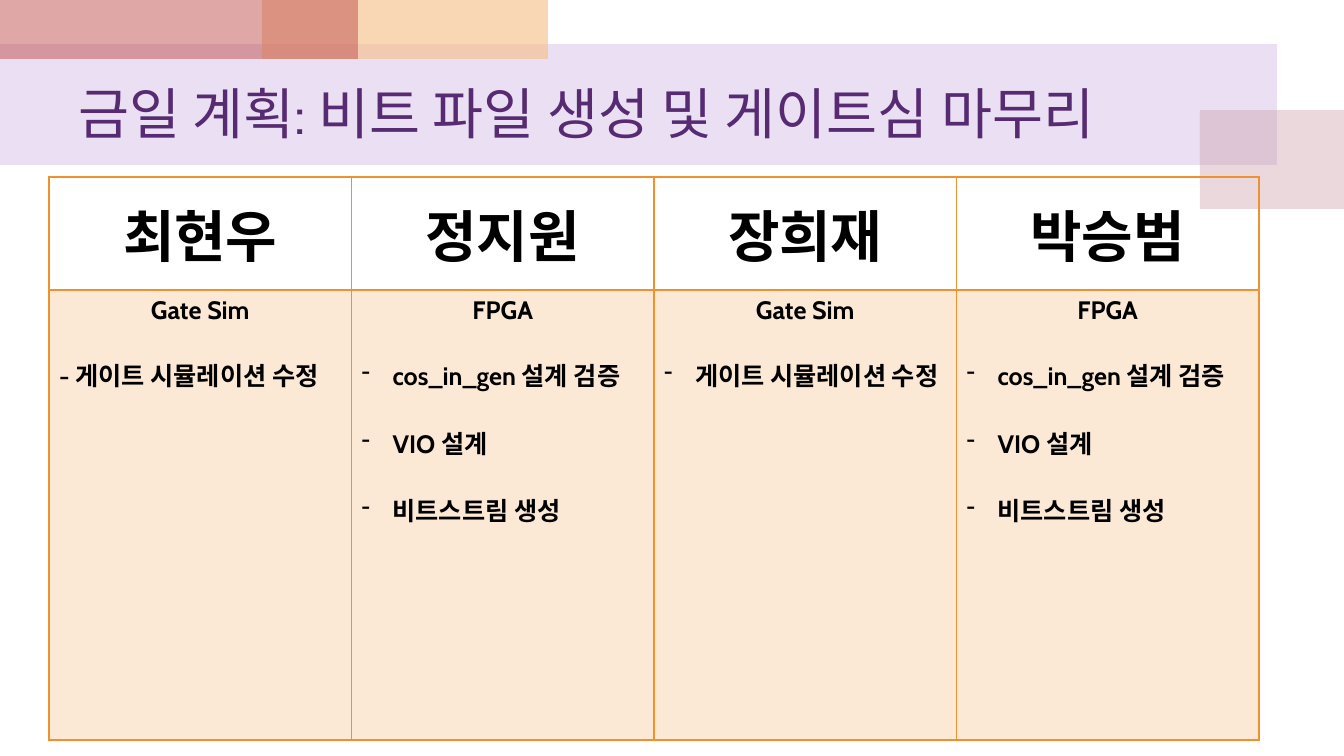
"""Builds the slide with today's plan for each team member."""
from dataclasses import dataclass

from lxml.etree import SubElement
from pptx import Presentation
from pptx.dml.color import RGBColor
from pptx.enum.shapes import MSO_SHAPE as Preset
from pptx.enum.text import MSO_ANCHOR as Anchor, MSO_AUTO_SIZE as AutoSize, PP_ALIGN as Align
from pptx.oxml.ns import qn
from pptx.util import Emu, Pt

PX_PER_INCH = 100.8


def px(count):
    """Turn a pixel count into EMU."""
    return Emu(round(count * 914400 / PX_PER_INCH))


@dataclass(frozen=True)
class Theme:
    """Colours, font and type sizes."""
    font: str = "Cabin"
    title: str = "562B71"
    text: str = "000000"
    orange: str = "EF9031"
    band: str = "BF98D8"
    pink: str = "CC9EAC"
    peach: str = "F5BC83"
    red: str = "C0504D"
    title_size: float = 39.6
    name_size: int = 40
    task_size: int = 18
    task_gap: int = 22


class PlanSlide:
    """Holds the theme and the current slide."""

    def __init__(self, deck, theme):
        """Add a title-only page to the deck."""
        self.theme = theme
        self.page = deck.slides.add_slide(deck.slide_layouts[5])

    def fill(self, target, color, opacity):
        """Give a shape or cell a partly transparent fill."""
        target.fill.solid()
        target.fill.fore_color.rgb = RGBColor.from_string(color)
        owner = target.fill.fore_color
        tint = self.find_color(target)
        SubElement(tint, qn("a:alpha")).set("val", str(opacity * 1000))
        return owner

    def find_color(self, target):
        """Return the colour element of the fill of a shape or cell."""
        element = getattr(target, "element", None)
        holder = target_properties(target) if element is None else element.spPr
        return holder.find(qn("a:solidFill")).find(qn("a:srgbClr"))

    def style(self, para, size, color, bold=False):
        """Set the font of a paragraph."""
        para.font.name = self.theme.font
        para.font.size = Pt(size)
        para.font.bold = bold
        para.font.color.rgb = RGBColor.from_string(color)

    def block(self, left, top, width, height, color, opacity):
        """Draw a translucent rectangle."""
        box = self.page.shapes.add_shape(Preset.RECTANGLE, px(left), px(top), px(width), px(height))
        box.shadow.inherit = False
        box.line.fill.background()
        self.fill(box, color, opacity)

    def title(self, text, left, top, width, height):
        """Place the title above the blocks."""
        box = self.page.shapes.title
        box.left, box.top, box.width, box.height = map(px, (left, top, width, height))
        box.element.getparent().append(box.element)
        frame = box.text_frame
        frame.text = text
        frame.word_wrap = True
        frame.auto_size = AutoSize.NONE
        frame.vertical_anchor = Anchor.MIDDLE
        para = frame.paragraphs[0]
        para.alignment = Align.LEFT
        self.style(para, self.theme.title_size, self.theme.title)

    def borders(self, cell, **widths):
        """Draw the four cell borders, one point wide unless given."""
        for side in "LRTB":
            line = SubElement(target_properties(cell), qn(f"a:ln{side}"))
            line.set("w", str(Pt(widths.get(side, 1))))
            paint = SubElement(line, qn("a:solidFill"))
            SubElement(paint, qn("a:srgbClr")).set("val", self.theme.orange)

    def bullet(self, para):
        """Give a paragraph a hanging dash."""
        settings = para._p.get_or_add_pPr()
        settings.set("marL", str(px(31)))
        settings.set("indent", str(-px(31)))
        SubElement(settings, qn("a:buChar")).set("char", "-")

    def name_cell(self, cell, name):
        """Fill a header cell."""
        self.borders(cell, B=2)
        cell.fill.background()
        cell.vertical_anchor = Anchor.MIDDLE
        cell.text = name
        para = cell.text_frame.paragraphs[0]
        para.alignment = Align.CENTER
        self.style(para, self.theme.name_size, self.theme.text, bold=True)

    def task_cell(self, cell, area, tasks):
        """Fill a cell with an area and its tasks."""
        self.borders(cell, T=2)
        self.fill(cell, self.theme.orange, 20)
        cell.text = "\n".join([area, *tasks])
        heading, *items = cell.text_frame.paragraphs
        heading.alignment = Align.CENTER
        self.style(heading, self.theme.task_size, self.theme.text, bold=True)
        for para in items:
            para.alignment = Align.LEFT
            para.space_before = Pt(self.theme.task_gap)
            if not para.text.startswith("-"):
                self.bullet(para)
            self.style(para, self.theme.task_size, self.theme.text, bold=True)

    def table(self, plans, left, top, width, heights):
        """Draw one column for each member."""
        frame = self.page.shapes.add_table(
            len(heights), len(plans), px(left), px(top), px(width), px(sum(heights)))
        grid = frame.table
        grid.first_row = grid.horz_banding = False
        for row, height in zip(grid.rows, heights):
            row.height = px(height)
        for column, (name, area, tasks) in enumerate(plans):
            self.name_cell(grid.cell(0, column), name)
            self.task_cell(grid.cell(1, column), area, tasks)


def target_properties(cell):
    """Return the properties element of a table cell."""
    return cell._tc.get_or_add_tcPr()


def main():
    """Build and save the deck."""
    deck = Presentation()
    deck.slide_width, deck.slide_height = px(1344), px(756)
    theme = Theme()
    slide = PlanSlide(deck, theme)

    slide.block(0, 44, 1277, 121, theme.band, 30)
    slide.block(1200, 110, 144, 99, theme.pink, 40)
    slide.block(262, 0, 286, 59, theme.peach, 60)
    slide.block(0, 0, 358, 59, theme.red, 50)
    slide.title("금일 계획: 비트 파일 생성 및 게이트심 마무리", 68, 59, 1210, 106)

    fpga_tasks = ["cos_in_gen 설계 검증", "VIO 설계", "비트스트림 생성"]
    plans = [
        ("최현우", "Gate Sim", ["- 게이트 시뮬레이션 수정"]),
        ("정지원", "FPGA", fpga_tasks),
        ("장희재", "Gate Sim", ["게이트 시뮬레이션 수정"]),
        ("박승범", "FPGA", fpga_tasks),
    ]
    slide.table(plans, 49, 177, 1210, (113, 450))
    deck.save("out.pptx")


if __name__ == "__main__":
    main()
